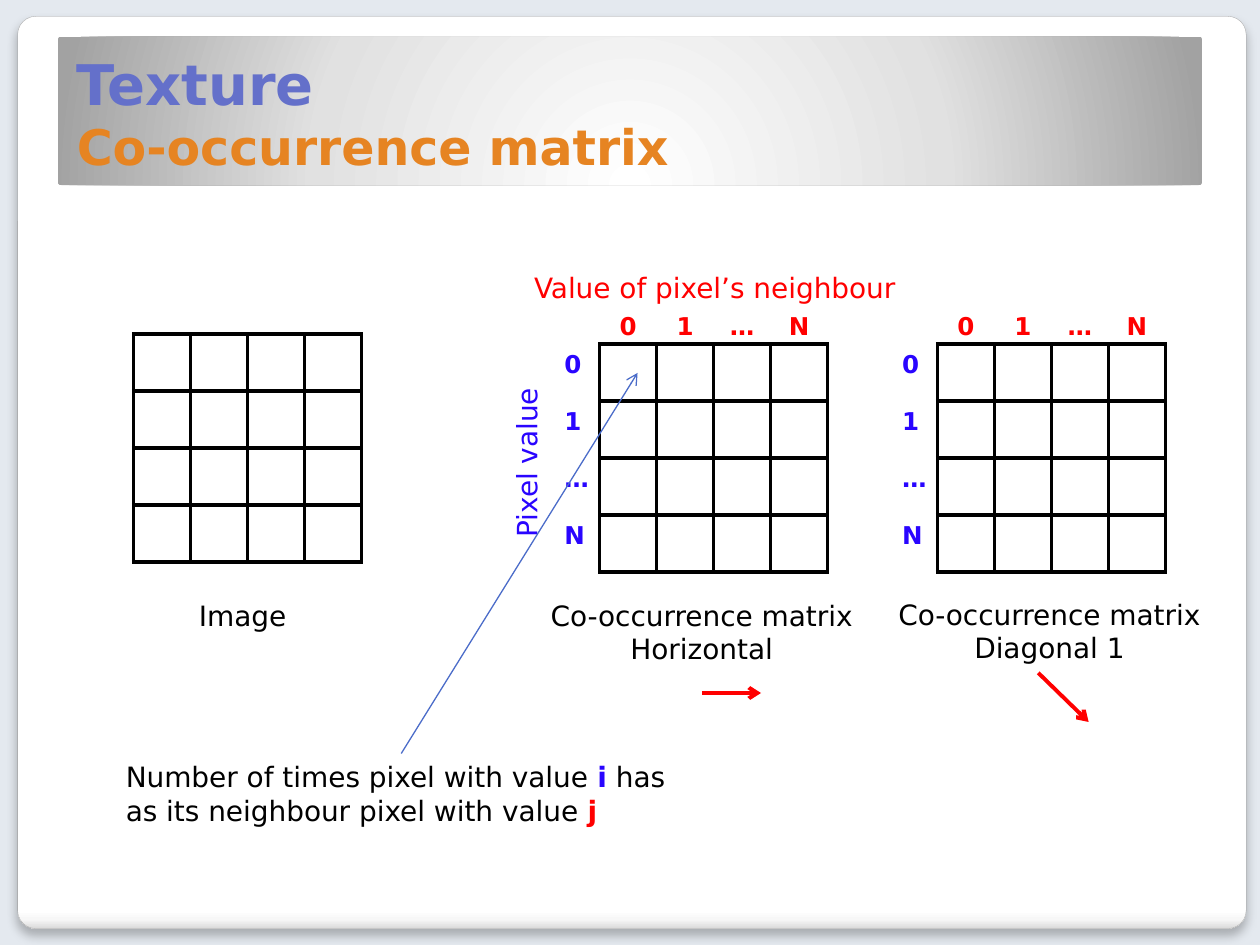
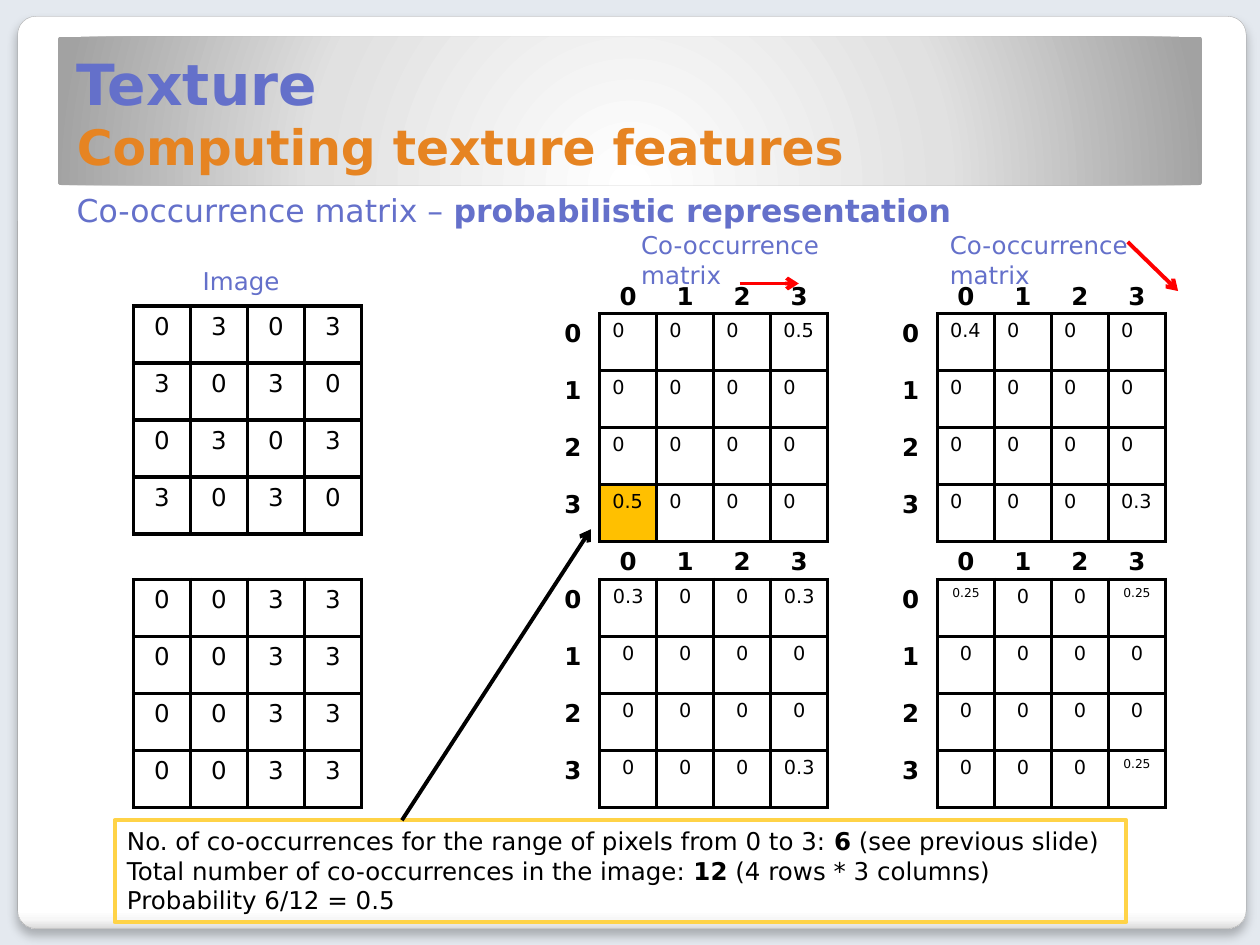
from dataclasses import dataclass
from typing import Optional

from pptx import Presentation
from pptx.dml.color import RGBColor
from pptx.enum.shapes import MSO_CONNECTOR, MSO_SHAPE
from pptx.enum.text import MSO_ANCHOR, MSO_AUTO_SIZE, PP_ALIGN
from pptx.oxml import parse_xml
from pptx.oxml.ns import nsdecls, qn
from pptx.util import Inches, Pt

FONT = "DejaVu Sans"
COLORS = {
    "background": "E4E9EF", "panel_line": "A4A4A4", "heading": "6470CA",
    "subheading": "E68422", "black": "000000", "red": "FF0000",
    "blue": "2905FF", "pointer": "4B6CC9", "highlight": "FFC000",
    "callout": "FFD347",
}
NO_STYLE_TABLE = "{2D5ABB26-0587-4C30-8999-92F81FD0307C}"
GRID_SIZE = 1.81
CELL_SIZE = GRID_SIZE / 4
HEADER_HEIGHT = 0.37
LABEL_WIDTH = 0.3
IMAGE_LEFT, HORIZONTAL_LEFT, DIAGONAL_LEFT = 1.06, 4.76, 7.44
EMPTY = ["   "] * 4
ZEROS = "0 0 0 0"


@dataclass
class Span:
    text: str
    color: str = "black"
    bold: bool = False


@dataclass
class Label:
    left: float
    top: float
    width: float
    height: float
    lines: list[list[Span]]
    size: float = 16
    wrap: bool = False
    align: PP_ALIGN = PP_ALIGN.LEFT
    rotation: float = 0


@dataclass
class Grid:
    """Four by four pixels or counts; each row is a line of spaced values."""
    left: float
    top: float
    rows: list[str]
    size: float = 11
    align: PP_ALIGN = PP_ALIGN.CENTER
    labels: str = ""
    column_color: str = "black"
    row_color: str = "black"
    highlight: Optional[tuple[int, int]] = None


@dataclass
class Arrow:
    start: tuple[float, float]
    end: tuple[float, float]
    color: str = "red"
    width: float = 2.25


def rgb(name: str) -> RGBColor:
    return RGBColor.from_string(COLORS[name])


def format_font(font, size: float, color: str, bold: bool = False) -> None:
    font.name = FONT
    font.size = Pt(size)
    font.bold = bold
    font.color.rgb = rgb(color)


# Shared background, panel and title band
def set_gradient(shape, stops: list[tuple[int, str]], direction: str) -> None:
    shape.fill.background()
    marks = "".join(f'<a:gs pos="{position * 1000}"><a:srgbClr val="{color}"/></a:gs>'
                    for position, color in stops)
    gradient = parse_xml(f'<a:gradFill {nsdecls("a")} rotWithShape="1">'
                         f"<a:gsLst>{marks}</a:gsLst>{direction}</a:gradFill>")
    properties = shape.element.spPr
    properties.replace(properties.find(qn("a:noFill")), gradient)


def add_rounded(slide, left: float, top: float, width: float, height: float):
    shape = slide.shapes.add_shape(MSO_SHAPE.ROUNDED_RECTANGLE, Inches(left), Inches(top),
                                   Inches(width), Inches(height))
    shape.adjustments[0] = 0.02
    shape.shadow.inherit = False
    shape.line.fill.background()
    return shape


def decorate_layout(layout, slide) -> None:
    """Draw the frame on a slide, then move it behind the layout's placeholders."""
    fill = layout.background.fill
    fill.solid()
    fill.fore_color.rgb = rgb("background")

    panel = add_rounded(slide, 0.14, 0.13, 9.75, 7.24)
    set_gradient(panel, [(0, "FFFFFF"), (98, "FFFFFF"), (99, "F7F7F7"), (100, "DADADA")],
                 '<a:lin ang="5400000" scaled="0"/>')
    panel.line.color.rgb = rgb("panel_line")
    panel.line.width = Pt(0.16)
    panel.element.spPr.find(qn("a:effectLst")).append(parse_xml(
        f'<a:outerShdw {nsdecls("a")} blurRad="{Pt(6)}" dist="{Pt(4)}" dir="5400000" '
        'algn="t" rotWithShape="0"><a:srgbClr val="000000"><a:alpha val="25000"/>'
        "</a:srgbClr></a:outerShdw>"))

    band = add_rounded(slide, 0.46, 0.29, 9.08, 1.18)
    set_gradient(band, [(0, "FFFFFF"), (55, "E1E1E1"), (100, "A2A2A2")],
                 '<a:path path="circle"><a:fillToRect l="50000" t="175000" '
                 'r="50000" b="-75000"/></a:path>')

    for index, shape in enumerate((panel, band)):
        shape.element.nvSpPr.cNvPr.set("id", str(101 + index))
        layout.shapes.element.insert(2 + index, shape.element)


def set_title(slide, subtitle: str, sizes: tuple[float, float]) -> None:
    title = slide.shapes.title
    title.left, title.top = Inches(0.51), Inches(0.29)
    title.width, title.height = Inches(8.95), Inches(1.15)
    frame = title.text_frame
    frame.text = f"Texture\v{subtitle}"
    frame.auto_size = MSO_AUTO_SIZE.NONE
    frame.vertical_anchor = MSO_ANCHOR.BOTTOM
    paragraph = frame.paragraphs[0]
    paragraph.alignment = PP_ALIGN.LEFT
    for run, size, color in zip(paragraph.runs, sizes, ("heading", "subheading")):
        format_font(run.font, size, color, True)


# Text
def fill_text(shape, label: Label) -> None:
    frame = shape.text_frame
    frame.word_wrap = label.wrap
    frame.auto_size = MSO_AUTO_SIZE.SHAPE_TO_FIT_TEXT
    frame.vertical_anchor = MSO_ANCHOR.TOP
    for index, spans in enumerate(label.lines):
        paragraph = frame.add_paragraph() if index else frame.paragraphs[0]
        paragraph.alignment = label.align
        for span in spans:
            run = paragraph.add_run()
            run.text = span.text
            format_font(run.font, label.size, span.color, span.bold)


def add_label(slide, label: Label):
    box = slide.shapes.add_textbox(Inches(label.left), Inches(label.top),
                                   Inches(label.width), Inches(label.height))
    box.rotation = label.rotation
    fill_text(box, label)
    return box


def add_callout(slide, label: Label) -> None:
    box = slide.shapes.add_shape(MSO_SHAPE.RECTANGLE, Inches(label.left), Inches(label.top),
                                 Inches(label.width), Inches(label.height))
    box.shadow.inherit = False
    box.fill.background()
    box.line.color.rgb = rgb("callout")
    box.line.width = Pt(2.25)
    fill_text(box, label)


# Tables
def add_table(slide, left: float, top: float, column_width: float, row_height: float,
              values: list[list[str]]):
    rows, columns = len(values), len(values[0])
    frame = slide.shapes.add_table(rows, columns, Inches(left), Inches(top),
                                   Inches(column_width * columns), Inches(row_height * rows))
    table = frame.table
    table.first_row = table.horz_banding = False
    next(frame.element.iter(qn("a:tableStyleId"))).text = NO_STYLE_TABLE
    for row, row_values in zip(table.rows, values):
        for cell, value in zip(row.cells, row_values):
            cell.text = value
            cell.fill.background()
    return table


def format_cell(cell, size: float, color: str, bold: bool, align: PP_ALIGN) -> None:
    paragraph = cell.text_frame.paragraphs[0]
    paragraph.alignment = align
    for run in paragraph.runs:
        format_font(run.font, size, color, bold)


def set_borders(cell) -> None:
    properties = cell._tc.get_or_add_tcPr()
    for index, side in enumerate("LRTB"):
        properties.insert(index, parse_xml(
            f'<a:ln{side} {nsdecls("a")} w="{Pt(2.25)}"><a:solidFill>'
            f'<a:srgbClr val="{COLORS["black"]}"/></a:solidFill></a:ln{side}>'))


def add_grid(slide, grid: Grid) -> None:
    table = add_table(slide, grid.left, grid.top, CELL_SIZE, CELL_SIZE,
                      [row.split(" ") for row in grid.rows])
    for cell in table.iter_cells():
        size = 7 if len(cell.text) > 3 else grid.size
        format_cell(cell, size, "black", False, grid.align)
        set_borders(cell)
    if grid.highlight:
        fill = table.cell(*grid.highlight).fill
        fill.solid()
        fill.fore_color.rgb = rgb("highlight")
    if grid.labels:
        labels = grid.labels.split()
        header = add_table(slide, grid.left, grid.top - 0.3, CELL_SIZE, HEADER_HEIGHT, [labels])
        side = add_table(slide, grid.left - 0.38, grid.top, LABEL_WIDTH, CELL_SIZE,
                         [[label] for label in labels])
        for labelled, color in ((header, grid.column_color), (side, grid.row_color)):
            for cell in labelled.iter_cells():
                format_cell(cell, 14, color, True, PP_ALIGN.CENTER)


# Arrows
def add_arrow(slide, arrow: Arrow):
    points = [Inches(value) for value in (*arrow.start, *arrow.end)]
    connector = slide.shapes.add_connector(MSO_CONNECTOR.STRAIGHT, *points)
    connector.line.color.rgb = rgb(arrow.color)
    connector.line.width = Pt(arrow.width)
    properties = connector.element.spPr
    properties.find(qn("a:ln")).append(parse_xml(f'<a:tailEnd {nsdecls("a")} type="arrow"/>'))
    properties.append(parse_xml(f'<a:effectLst {nsdecls("a")}/>'))
    return connector


def build_matrix_slide(slide) -> None:
    set_title(slide, "Co-occurrence matrix", (32, 28))
    add_grid(slide, Grid(IMAGE_LEFT, 2.65, EMPTY))
    for left in (HORIZONTAL_LEFT, DIAGONAL_LEFT):
        add_grid(slide, Grid(left, 2.73, EMPTY, labels="0 1 … N",
                             column_color="red", row_color="blue"))
    add_label(slide, Label(1.48, 4.7, 0.92, 0.37, [[Span("Image")]]))
    for left, top, direction in ((4.25, 4.7, "Horizontal"), (7.01, 4.69, "Diagonal 1")):
        add_label(slide, Label(left, top, 2.64, 0.64,
                               [[Span("Co-occurrence matrix")], [Span(direction)]],
                               align=PP_ALIGN.CENTER))
    add_label(slide, Label(3.48, 3.48, 1.4, 0.37, [[Span("Pixel value", "blue")]], rotation=270))
    add_label(slide, Label(4.14, 2.1, 3.1, 0.37, [[Span("Value of pixel’s neighbour", "red")]]))
    explanation = add_label(slide, Label(0.9, 5.98, 4.57, 0.64, [[
        Span("Number of times pixel with value "), Span("i", "blue", True),
        Span(" has as its neighbour pixel with value "), Span("j", "red", True)]], wrap=True))
    add_arrow(slide, Arrow((5.57, 5.5), (6.04, 5.5)))
    add_arrow(slide, Arrow((8.24, 5.34), (8.64, 5.73)))
    pointer = add_arrow(slide, Arrow((3.19, 5.98), (5.06, 2.96), "pointer", 0.75))
    pointer.begin_connect(explanation, 0)


def build_features_slide(slide) -> None:
    set_title(slide, "Computing texture features", (32.4, 27.9))
    numbers = "0 1 2 3"
    grids = [
        Grid(IMAGE_LEFT, 2.43, ["0 3 0 3", "3 0 3 0"] * 2, 14),
        Grid(IMAGE_LEFT, 4.6, ["0 0 3 3"] * 4, 14),
        Grid(HORIZONTAL_LEFT, 2.49, ["0 0 0 0.5", ZEROS, ZEROS, "0.5 0 0 0"],
             align=PP_ALIGN.LEFT, labels=numbers, highlight=(3, 0)),
        Grid(HORIZONTAL_LEFT, 4.6, ["0.3 0 0 0.3", ZEROS, ZEROS, "0 0 0 0.3"], labels=numbers),
        Grid(DIAGONAL_LEFT, 2.49, ["0.4 0 0 0", ZEROS, ZEROS, "0 0 0 0.3"],
             align=PP_ALIGN.LEFT, labels=numbers),
        Grid(DIAGONAL_LEFT, 4.6, ["0.25 0 0 0.25", ZEROS, ZEROS, "0 0 0 0.25"], labels=numbers),
    ]
    for grid in grids:
        add_grid(slide, grid)
    add_label(slide, Label(0.51, 1.47, 7.22, 0.4, [[
        Span("Co-occurrence matrix – ", "heading"),
        Span("probabilistic representation", "heading", True)]], size=18))
    add_callout(slide, Label(0.91, 6.51, 8.03, 0.81, [
        [Span("No. of co-occurrences for the range of pixels from 0 to 3: "),
         Span("6", bold=True), Span(" (see previous slide)")],
        [Span("Total number of co-occurrences in the image: "),
         Span("12", bold=True), Span(" (4 rows * 3 columns)")],
        [Span("Probability 6/12 = 0.5")]], size=14, wrap=True))
    for arrow in (Arrow((3.19, 6.51), (4.69, 4.2), "black"),
                  Arrow((5.87, 2.25), (6.34, 2.25)), Arrow((8.95, 1.92), (9.35, 2.31))):
        add_arrow(slide, arrow)
    for left, top, width, height, text in ((1.51, 2.06, 0.92, 0.34, "Image"),
                                           (4.99, 1.78, 1.7, 0.57, "Co-occurrence matrix"),
                                           (7.44, 1.78, 1.7, 0.57, "Co-occurrence matrix")):
        add_label(slide, Label(left, top, width, height, [[Span(text, "heading")]], 14, True))


def main() -> None:
    presentation = Presentation()
    presentation.slide_width, presentation.slide_height = Inches(10), Inches(7.5)
    layout = presentation.slide_layouts.get_by_name("Title Only")
    slides = [presentation.slides.add_slide(layout) for _ in range(2)]
    decorate_layout(layout, slides[0])
    build_matrix_slide(slides[0])
    build_features_slide(slides[1])
    presentation.save("out.pptx")


if __name__ == "__main__":
    main()
